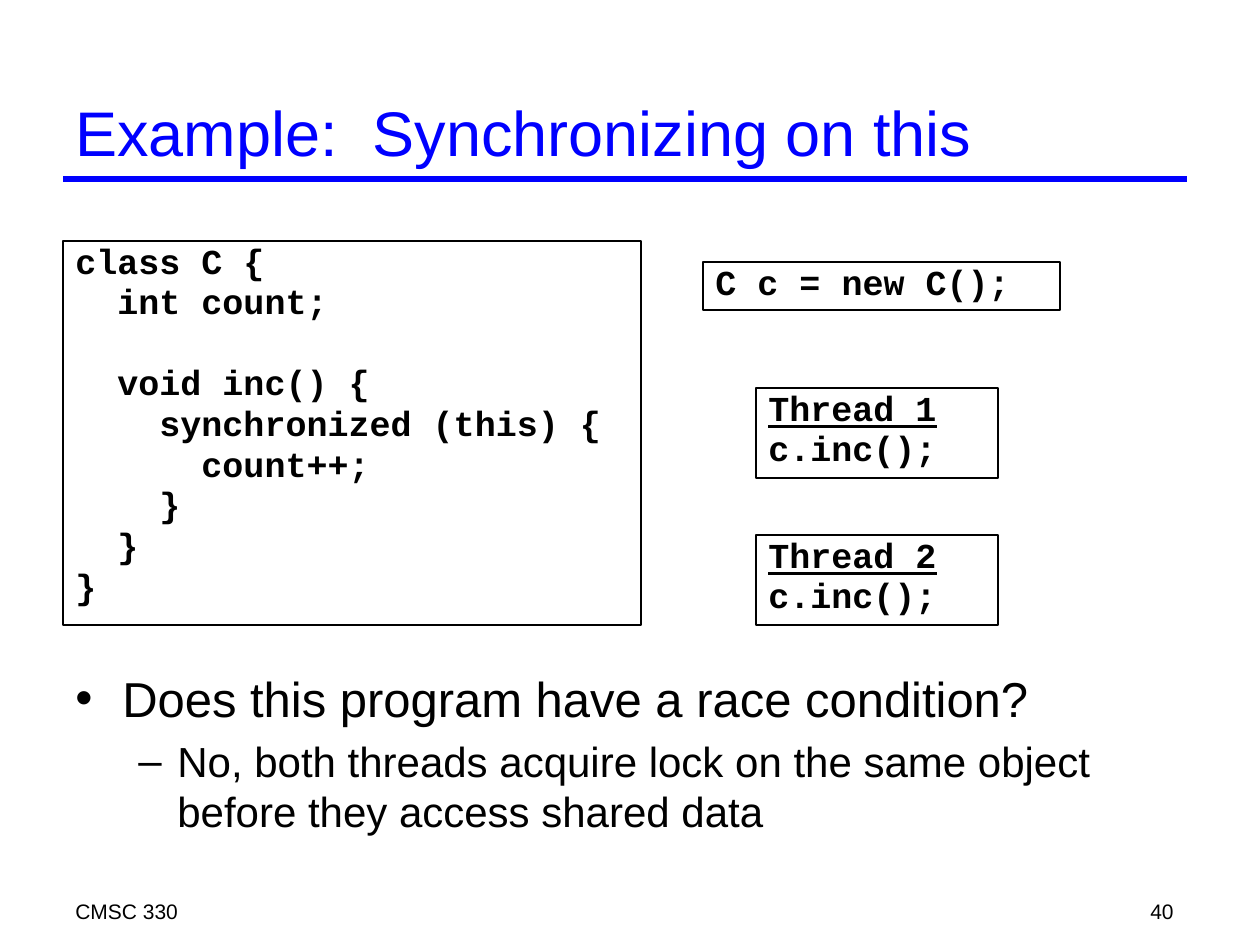
from lxml.etree import SubElement
from pptx import Presentation
from pptx.dml.color import RGBColor
from pptx.enum.shapes import MSO_CONNECTOR, MSO_SHAPE
from pptx.enum.text import MSO_ANCHOR, MSO_AUTO_SIZE, PP_ALIGN
from pptx.oxml.ns import qn
from pptx.util import Emu, Pt

BLUE = "0000FF"
BLACK = "000000"
LEFT = 63
WIDTH = 1124
CODE = """class C {
  int count;

  void inc() {
    synchronized (this) {
      count++;
    }
  }
}"""


def px(length):
    """Turn pixels into EMU."""
    return Emu(round(length * 914400 / 126))


def color(value):
    """Turn a hex string into a colour."""
    return RGBColor.from_string(value)


def style(font, name, size, value):
    """Set a font's name, size and colour."""
    font.name = name
    font.size = Pt(size)
    font.color.rgb = color(value)


def space_before(paragraph):
    """Put a fifth of a line above a paragraph."""
    spacing = SubElement(paragraph._p.get_or_add_pPr(), qn("a:spcBef"))
    SubElement(spacing, qn("a:spcPct"), val="20000")


def add_text(slide, box, text, size, value=BLACK, anchor=MSO_ANCHOR.TOP, align=PP_ALIGN.LEFT):
    """Add a wrapped Arial text box and return its frame."""
    frame = slide.shapes.add_textbox(*map(px, box)).text_frame
    frame.word_wrap = True
    frame.vertical_anchor = anchor
    frame.text = text
    for paragraph in frame.paragraphs:
        paragraph.alignment = align
        for run in paragraph.runs:
            style(run.font, "Arial", size, value)
    return frame


def format_bullet(paragraph, level, size, margin, hang, character):
    """Give a paragraph its level, size, hanging indent and bullet."""
    paragraph.level = level
    paragraph.runs[0].font.size = Pt(size)
    space_before(paragraph)
    properties = paragraph._p.get_or_add_pPr()
    properties.set("marL", str(px(margin)))
    properties.set("indent", str(-px(hang)))
    SubElement(properties, qn("a:buFont"), typeface="Arial")
    SubElement(properties, qn("a:buChar"), char=character)


def add_code(slide, box, text, underline_first=False):
    """Add an outlined box of bold code."""
    shape = slide.shapes.add_shape(MSO_SHAPE.RECTANGLE, *map(px, box))
    shape.shadow.inherit = False
    shape.fill.background()
    shape.line.color.rgb = color(BLACK)
    shape.line.width = Pt(0.75)
    frame = shape.text_frame
    frame.text = text
    frame.word_wrap = True
    frame.vertical_anchor = MSO_ANCHOR.TOP
    frame.auto_size = MSO_AUTO_SIZE.SHAPE_TO_FIT_TEXT
    for index, paragraph in enumerate(frame.paragraphs):
        paragraph.alignment = PP_ALIGN.LEFT
        paragraph.line_spacing = 0.8
        space_before(paragraph)
        style(paragraph.font, "Courier New", 20, BLACK)
        for run in paragraph.runs:
            style(run.font, "Courier New", 20, BLACK)
            run.font.bold = True
            run.font.underline = underline_first and index == 0
        if not paragraph.runs:
            SubElement(paragraph._p, qn("a:endParaRPr"), sz="2000")


def add_rule(slide, top):
    """Add the blue line under the title."""
    line = slide.shapes.add_connector(
        MSO_CONNECTOR.STRAIGHT, px(LEFT), px(top), px(LEFT + WIDTH), px(top))
    line.line.color.rgb = color(BLUE)
    line.line.width = Pt(3)
    SubElement(line._element.spPr, qn("a:effectLst"))


def main():
    """Build and save the slide."""
    presentation = Presentation()
    presentation.slide_width = px(1260)
    presentation.slide_height = px(945)
    slide = presentation.slides.add_slide(presentation.slide_layouts[6])

    add_rule(slide, 179)
    add_text(slide, (LEFT, 892, 766, 32), "CMSC 330", 12)
    add_text(slide, (924, 892, 262, 32), "40", 12, align=PP_ALIGN.RIGHT)
    add_text(slide, (LEFT, 84, WIDTH, 95), "Example:  Synchronizing on this",
             36, BLUE, MSO_ANCHOR.MIDDLE)

    body = add_text(
        slide, (LEFT, 662, WIDTH, 220),
        "Does this program have a race condition?\n"
        "No, both threads acquire lock on the same object before they access shared data", 28)
    question, answer = body.paragraphs
    format_bullet(question, 0, 28, 47, 47, "•")
    format_bullet(answer, 1, 24, 102, 39, "–")

    add_code(slide, (LEFT, 241, 578, 384), CODE)
    for number, top in enumerate((388, 535), 1):
        add_code(slide, (756, top, 242, 90), f"Thread {number}\nc.inc();", True)
    add_code(slide, (703, 262, 357, 48), "C c = new C();")

    presentation.save("out.pptx")


if __name__ == "__main__":
    main()
